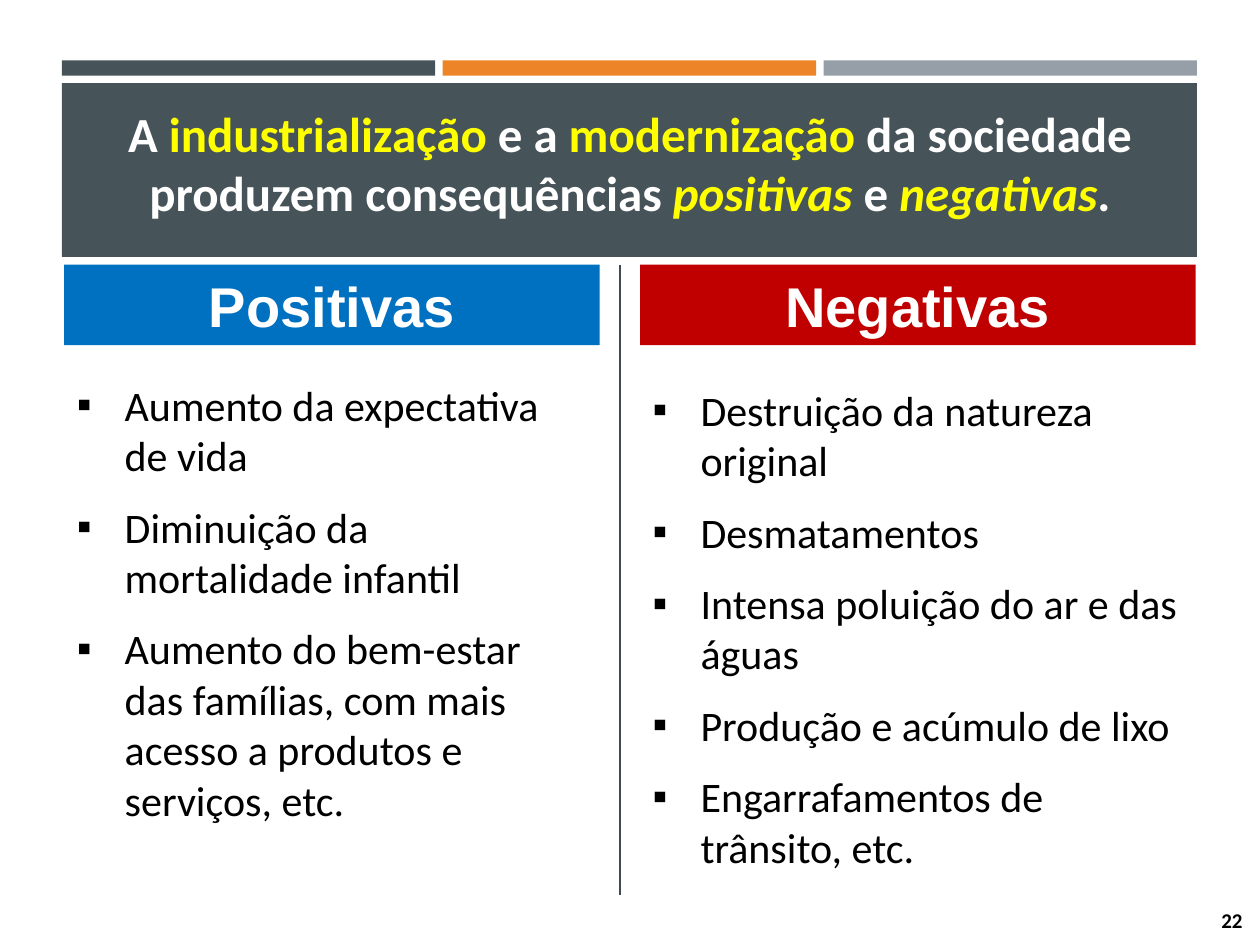
from pptx import Presentation, util as u
from pptx.dml.color import RGBColor
from pptx.enum import shapes, text
from pptx.oxml.ns import qn
from lxml import etree

W, H = 10, 7.5
COLORS = {
    "slate": "465359", "orange": "ED8428", "grey": "969FA7", "rule": "3F4B50",
    "blue": "0070C0", "red": "C00000", "white": "FFFFFF", "yellow": "FFFF00", "black": "000000",
}
TITLE = [
    ("A ", "white", False), ("industrialização", "yellow", False), (" e a ", "white", False),
    ("modernização", "yellow", False), (" da sociedade produzem consequências ", "white", False),
    ("positivas ", "yellow", True), ("e ", "white", False), ("negativas", "yellow", True),
    (".", "white", False),
]
POSITIVE = [
    "Aumento da expectativa de vida",
    "Diminuição da mortalidade infantil",
    "Aumento do bem-estar das famílias, com mais acesso a produtos e serviços, etc.",
]
NEGATIVE = [
    "Destruição da natureza original",
    "Desmatamentos",
    "Intensa poluição do ar e das águas",
    "Produção e acúmulo de lixo",
    "Engarrafamentos de trânsito, etc.",
]


def rgb(name):
    """Return the named colour."""
    return RGBColor.from_string(COLORS[name])


def set_attrs(obj, **values):
    """Set each given value as an attribute."""
    for key, value in values.items():
        setattr(obj, key, value)


def place(sp, left, top, width, height):
    """Place a shape by a box in inches."""
    set_attrs(sp, left=u.Inches(left), top=u.Inches(top),
              width=u.Inches(width), height=u.Inches(height))


def set_frame(tf, anchor=text.MSO_ANCHOR.TOP):
    """Make a frame wrap at a fixed size."""
    set_attrs(tf, word_wrap=True, auto_size=text.MSO_AUTO_SIZE.NONE, vertical_anchor=anchor)


def add_run(p, words, color, **font):
    """Add a formatted run to a paragraph."""
    r = p.add_run()
    r.text = words
    set_attrs(r.font, **font)
    r.font.color.rgb = rgb(color)


def set_bullet(p, indent):
    """Give a paragraph a hanging square bullet."""
    pPr = p._p.get_or_add_pPr()
    pPr.set("marL", str(u.Inches(indent)))
    pPr.set("indent", str(-u.Inches(indent)))
    etree.SubElement(pPr, qn("a:buFont"), typeface="Arial")
    etree.SubElement(pPr, qn("a:buChar"), char="▪")


def add_bar(s, color, *box):
    """Add a plain filled bar behind the title."""
    sp = s.shapes.add_shape(shapes.MSO_SHAPE.RECTANGLE, 0, 0, 0, 0)
    place(sp, *box)
    sp.shadow.inherit = False
    sp.fill.solid()
    sp.fill.fore_color.rgb = rgb(color)
    sp.line.fill.background()
    s.shapes.title.element.addprevious(sp.element)


def add_header(s, left, top, width, height):
    """Fill the header box with three stripes, a band and the title."""
    gap = 0.06
    stripe = (width - 2 * gap) / 3
    for i, color in enumerate(("slate", "orange", "grey")):
        add_bar(s, color, left + i * (stripe + gap), top, stripe, 0.12)
    add_bar(s, "slate", left, top + 0.18, width, height - 0.18)
    title = s.shapes.title
    place(title, left + 0.02, top + 0.29, width - 0.03, 1.04)
    set_frame(title.text_frame)
    p = title.text_frame.paragraphs[0]
    set_attrs(p, alignment=text.PP_ALIGN.CENTER, space_before=u.Pt(0))
    for words, color, italic in TITLE:
        add_run(p, words, color, name="Calibri", size=u.Pt(28), bold=True, italic=italic)


def add_column(head, body, heading, items, color, box, body_top, body_width):
    """Fill a column with a coloured heading and a bulleted list."""
    left, top, width, height = box
    place(head, left, top, width, 0.64)
    head.fill.solid()
    head.fill.fore_color.rgb = rgb(color)
    set_frame(head.text_frame, text.MSO_ANCHOR.MIDDLE)
    p = head.text_frame.paragraphs[0]
    set_attrs(p, alignment=text.PP_ALIGN.CENTER, space_before=u.Pt(0))
    add_run(p, heading, "white", name="Arial", size=u.Pt(32), bold=True)

    place(body, left, body_top, body_width, top + height - body_top)
    tf = body.text_frame
    set_frame(tf)
    for i, item in enumerate(items):
        p = tf.add_paragraph() if i else tf.paragraphs[0]
        set_bullet(p, 0.38)
        set_attrs(p, space_before=u.Pt(0), space_after=u.Pt(12))
        add_run(p, item, "black", name="Calibri", size=u.Pt(24))


def add_divider(s, x, top, bottom):
    """Add the vertical rule between the columns."""
    line = s.shapes.add_connector(shapes.MSO_CONNECTOR.STRAIGHT, u.Inches(x), u.Inches(top),
                                  u.Inches(x), u.Inches(bottom))
    line.line.color.rgb = rgb("rule")
    line.line.width = u.Pt(1.5)
    etree.SubElement(line.element.spPr, qn("a:effectLst"))


def add_page_number(s, number, *box):
    """Add the page number in its box."""
    sp = s.shapes.add_textbox(0, 0, 0, 0)
    place(sp, *box)
    set_frame(sp.text_frame, text.MSO_ANCHOR.MIDDLE)
    p = sp.text_frame.paragraphs[0]
    p.alignment = text.PP_ALIGN.RIGHT
    add_run(p, number, "black", name="Calibri", size=u.Pt(12), bold=True)


def main():
    """Build the slide and save it."""
    prs = Presentation()
    set_attrs(prs, slide_width=u.Inches(W), slide_height=u.Inches(H))
    s = prs.slides.add_slide(prs.slide_layouts.get_by_name("Comparison"))
    _, left_head, left_body, right_head, right_body = s.placeholders
    top, bottom = 2.1, 7.1
    add_header(s, 0.49, 0.48, 9.01, 1.56)
    add_column(left_head, left_body, "Positivas", POSITIVE, "blue",
               (0.51, top, 4.25, 4.53), 2.96, 4.17)
    add_column(right_head, right_body, "Negativas", NEGATIVE, "red",
               (5.08, top, 4.41, 4.91), 3, 4.41)
    add_divider(s, 4.92, top, bottom)
    add_page_number(s, "22", 9.12, bottom, 0.84, H - bottom)
    prs.save("out.pptx")


if __name__ == "__main__":
    main()
